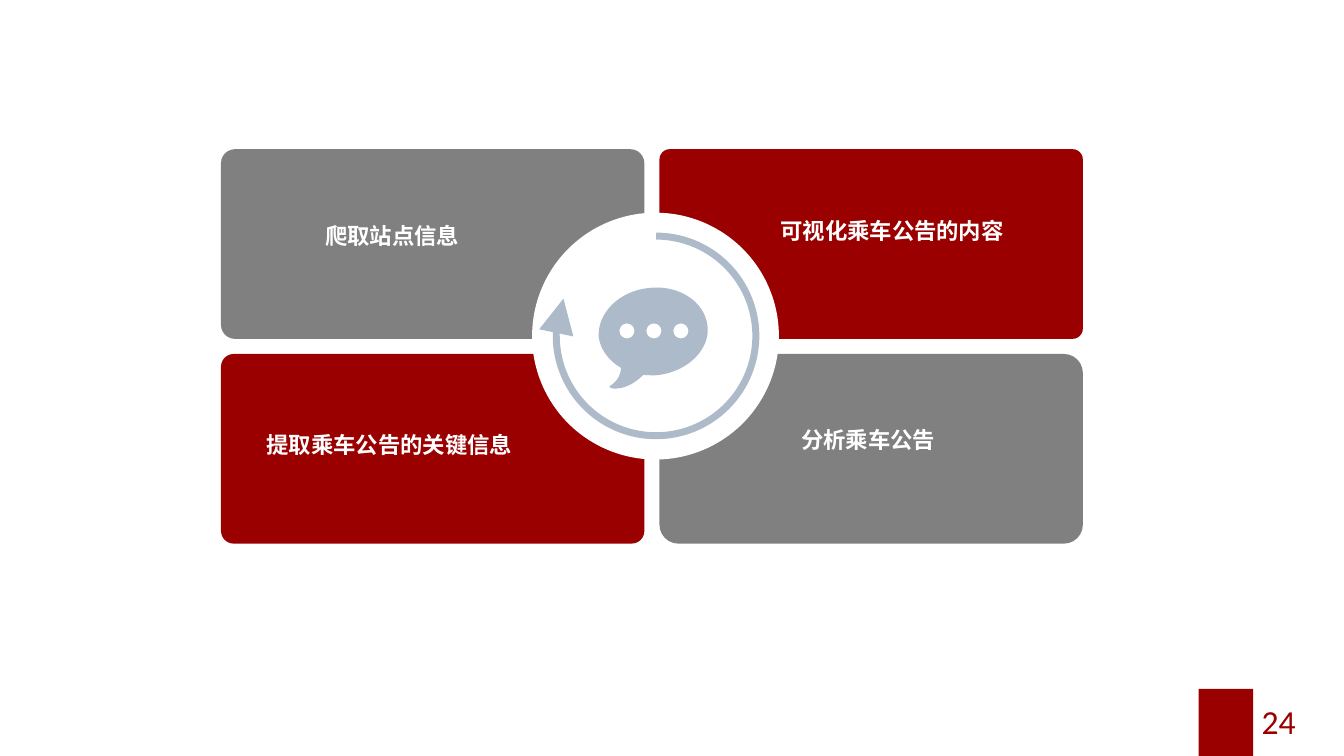
from math import cos, radians, sin

from lxml.etree import SubElement
from pptx import Presentation
from pptx.dml.color import RGBColor
from pptx.enum.shapes import MSO_SHAPE as Kind
from pptx.enum.text import MSO_ANCHOR as Anchor, MSO_AUTO_SIZE as Fit, PP_ALIGN as Align
from pptx.oxml.ns import qn
from pptx.util import Cm, Pt

RED = RGBColor(0x9A, 0x00, 0x00)
GRAY = RGBColor(0x80, 0x80, 0x80)
WHITE = RGBColor(0xFF, 0xFF, 0xFF)
BLUE = RGBColor(0xAD, 0xBA, 0xCA)

# Card fill and corner, then text with its left, top and width, row by row
CARDS = [
    (GRAY, 0.074, "爬取站点信息", 8.2, 5.59, 5.44),
    (RED, 0.054, "可视化乘车公告的内容", 19.67, 5.46, 6.48),
    (RED, 0.067, "提取乘车公告的关键信息", 6.72, 10.86, 7.26),
    (GRAY, 0.1, "分析乘车公告", 20.19, 10.74, 5.44),
]

# Speech bubble: start point, then two handles and an end per curve
BUBBLE = [
    (17.83, 8.2),
    (17.75, 7.59), (17.09, 7.16), (16.33, 7.26),
    (15.6, 7.34), (15.04, 7.9), (15.09, 8.51),
    (15.14, 8.81), (15.34, 9.09), (15.65, 9.27),
    (15.65, 9.4), (15.6, 9.58), (15.37, 9.73),
    (15.29, 9.8), (15.75, 9.91), (16.21, 9.45),
    (16.33, 9.45), (16.46, 9.47), (16.61, 9.45),
    (17.35, 9.35), (17.91, 8.79), (17.83, 8.2),
]


def paint(shape, color):
    shape.shadow.inherit = False
    shape.fill.solid()
    shape.fill.fore_color.rgb = color
    shape.line.fill.background()


def add_block(slide, kind, left, top, width, height, color):
    block = slide.shapes.add_shape(kind, Cm(left), Cm(top), Cm(width), Cm(height))
    paint(block, color)
    return block


def add_text(slide, text, left, top, width, height, size, font, color, bold=False):
    box = slide.shapes.add_textbox(Cm(left), Cm(top), Cm(width), Cm(height))
    frame = box.text_frame
    frame.word_wrap = True
    run = frame.paragraphs[0].add_run()
    run.text = text
    run.font.size = Pt(size)
    run.font.name = font
    run.font.bold = bold
    run.font.color.rgb = color
    return frame


def add_label(slide, text, left, top, width):
    frame = add_text(slide, text, left, top, width, 0.69, 16, "Arial", WHITE, True)
    frame.auto_size = Fit.SHAPE_TO_FIT_TEXT
    frame.margin_left = frame.margin_right = 0
    frame.margin_top = frame.margin_bottom = 0


def add_turn(slide):
    turn = slide.shapes.add_shape(Kind.ARC, Cm(14.02), Cm(5.95), Cm(5.03), Cm(5.03))
    turn.shadow.inherit = False
    # Angles from 270 to 201.9 degrees, in units of 0.6 to a degree
    turn.adjustments[0] = 270 * 0.6
    turn.adjustments[1] = 201.9 * 0.6
    turn.fill.background()
    turn.line.color.rgb = BLUE
    turn.line.width = Pt(5)
    SubElement(turn.line._get_or_add_ln(), qn("a:tailEnd"),
               type="triangle", w="lg", len="lg")


def ring(x, y, radius):
    """Four curves round a circle, as start, handles and ends."""
    pull = 0.55 * radius
    points = [(x + radius, y)]
    for angle in range(0, 360, 90):
        c, s = cos(radians(angle)), sin(radians(angle))
        points += [(x + a * c - b * s, y + a * s + b * c)
                   for a, b in ((radius, pull), (pull, radius), (0, radius))]
    return points


def bend(shape):
    """Turn each three line steps into one Bezier curve."""
    steps = list(shape._element.iter(qn("a:lnTo")))
    for one, two, end in zip(steps[::3], steps[1::3], steps[2::3]):
        one.tag = qn("a:cubicBezTo")
        for step in (two, end):
            one.append(step[0])
            step.getparent().remove(step)


def add_bubble(slide):
    dots = [ring(15.8 + 0.68 * i, 8.34, 0.19) for i in range(3)]
    loops = [[(Cm(x), Cm(y)) for x, y in loop] for loop in [BUBBLE] + dots]
    pen = slide.shapes.build_freeform(*loops[0][0])
    for i, loop in enumerate(loops):
        if i:
            pen.move_to(*loop[0])
        pen.add_line_segments(loop[1:], close=True)
    bubble = pen.convert_to_shape()
    bend(bubble)
    paint(bubble, BLUE)


def main():
    deck = Presentation()
    deck.slide_width, deck.slide_height = Cm(33.87), Cm(19.05)
    slide = deck.slides.add_slide(deck.slide_layouts[6])

    # Page mark
    add_block(slide, Kind.RECTANGLE, 30.21, 17.36, 1.37, 1.69, RED)

    # Four cards
    for i, (color, corner, *_) in enumerate(CARDS):
        row, col = divmod(i, 2)
        card = add_block(slide, Kind.ROUNDED_RECTANGLE, 5.57 + 11.05 * col,
                         3.76 + 5.16 * row, 10.67, 4.78, color)
        card.adjustments[0] = corner

    # Hub with turning arrow and speech bubble
    add_block(slide, Kind.OVAL, 13.41, 5.36, 6.22, 6.22, WHITE)
    add_turn(slide)
    add_bubble(slide)

    # Card labels
    for _, _, text, left, top, width in CARDS:
        add_label(slide, text, left, top, width)

    # Page number
    page = add_text(slide, "24", 31.21, 17.65, 2.03, 1.02, 24, "Calibri", RED)
    page.vertical_anchor = Anchor.MIDDLE
    page.paragraphs[0].alignment = Align.CENTER

    deck.save("out.pptx")


if __name__ == "__main__":
    main()
